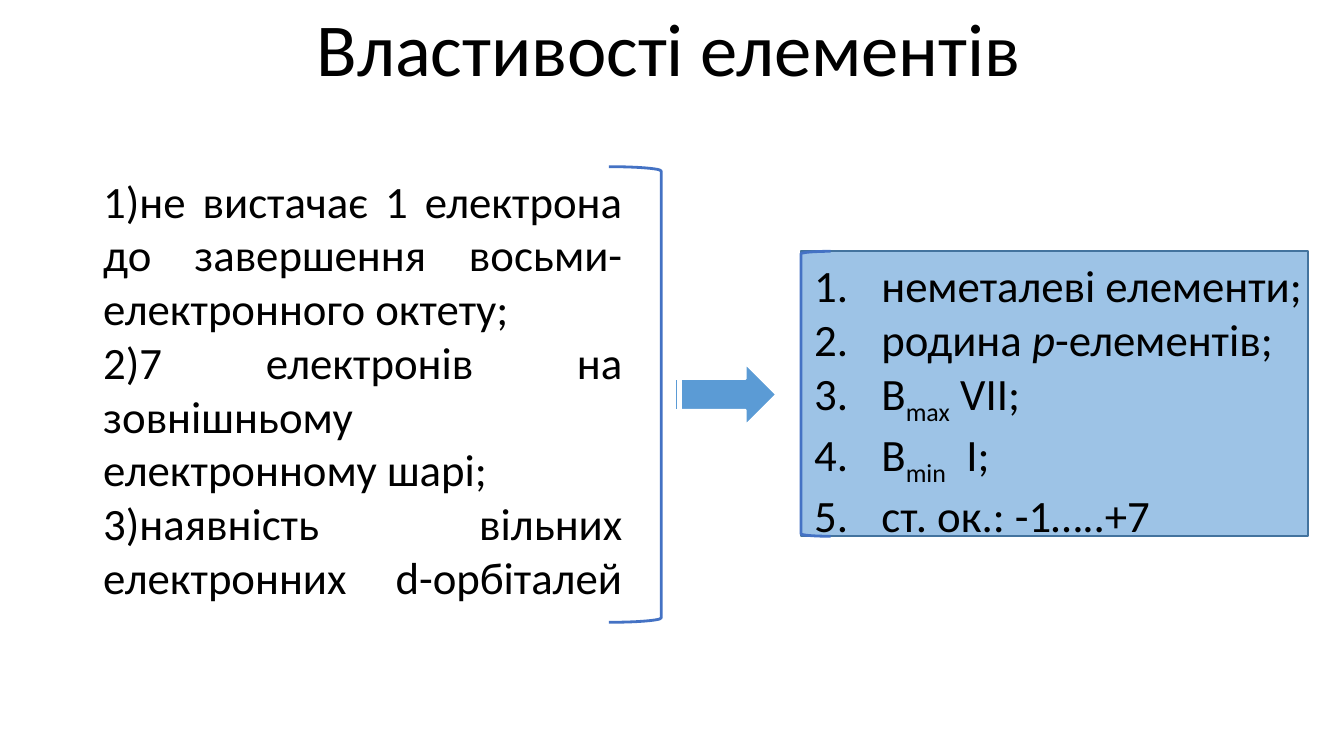
import pptx
import pptx.dml.color
import pptx.enum.shapes
import pptx.enum.text
import pptx.util
from dataclasses import dataclass
from lxml import etree
from pptx.oxml.ns import qn
from pptx.util import Inches

SHAPES = pptx.enum.shapes.MSO_SHAPE
ALIGN = pptx.enum.text.PP_ALIGN


@dataclass(frozen=True)
class Theme:
    font: str = "Calibri"
    title_size: int = 40
    body_size: int = 24
    ink: str = "000000"
    paper: str = "FFFFFF"
    bracket: str = "4472C4"
    arrow: str = "5B9BD5"
    panel: str = "9DC3E6"
    panel_edge: str = "43739E"


def rgb(value):
    return pptx.dml.color.RGBColor.from_string(value)


class SlideBuilder:
    def __init__(self, page, theme):
        self.page = page
        self.theme = theme

    def shape(self, kind, at, line, fill=None, width=1.5):
        item = self.page.shapes.add_shape(kind, *map(Inches, at))
        item.shadow.inherit = False
        if fill:
            item.fill.solid()
            item.fill.fore_color.rgb = rgb(fill)
        else:
            item.fill.background()
        item.line.color.rgb = rgb(line)
        item.line.width = pptx.util.Pt(width)
        return item

    def text_box(self, at):
        box = self.page.shapes.add_textbox(*map(Inches, at))
        box.text_frame.word_wrap = True
        return box.text_frame

    def style(self, span, size):
        span.font.name = self.theme.font
        span.font.size = pptx.util.Pt(size)
        span.font.color.rgb = rgb(self.theme.ink)

    def title(self, text, at):
        frame = self.text_box(at)
        frame.vertical_anchor = pptx.enum.text.MSO_ANCHOR.MIDDLE
        frame.text = text
        para = frame.paragraphs[0]
        para.alignment = ALIGN.CENTER
        para.line_spacing = 0.9
        self.style(para.runs[0], self.theme.title_size)

    def numbered_list(self, items, at, scheme, margin, indent, align):
        """Each item is a list of (text, kind) spans; kind is "", "italic" or "sub"."""
        frame = self.text_box(at)
        frame.auto_size = pptx.enum.text.MSO_AUTO_SIZE.SHAPE_TO_FIT_TEXT
        for index, spans in enumerate(items):
            para = frame.add_paragraph() if index else frame.paragraphs[0]
            para.alignment = align
            props = para._p.get_or_add_pPr()
            props.set("marL", str(Inches(margin)))
            props.set("indent", str(Inches(indent)))
            etree.SubElement(props, qn("a:buFont"), typeface="+mj-lt")
            etree.SubElement(props, qn("a:buAutoNum"), type=scheme)
            para.text = spans[0][0]
            for text, _ in spans[1:]:
                para.add_run().text = text
            for span, (_, kind) in zip(para.runs, spans):
                self.style(span, self.theme.body_size)
                if kind == "italic":
                    span.font.italic = True
                elif kind == "sub":
                    span._r.get_or_add_rPr().set("baseline", "-25000")


def main():
    theme = Theme()
    deck = pptx.Presentation()
    # Widescreen page, 16:9
    deck.slide_width = Inches(10)
    deck.slide_height = deck.slide_width * 9 // 16
    page = deck.slides.add_slide(deck.slide_layouts[6])
    page.background.fill.solid()
    page.background.fill.fore_color.rgb = rgb(theme.paper)
    builder = SlideBuilder(page, theme)

    builder.title("Властивості елементів", (0.67, 0.02, 8.61, 0.74))

    # Causes; the closing line break keeps the last line justified
    causes = [
        "не вистачає 1 електрона до завершення восьми-електронного октету;",
        "7 електронів на зовнішньому електронному шарі;",
        "наявність вільних електронних d-орбіталей\v",
    ]
    builder.numbered_list([[(cause, "")] for cause in causes],
                          (0.67, 1.24, 4.06, 3.64), "arabicParenR",
                          0, -0.38, ALIGN.JUSTIFY)

    # Bracket and arrow leading to the properties
    builder.shape(SHAPES.RIGHT_BRACKET, (4.53, 1.24, 0.39, 3.39), theme.bracket)
    builder.shape(SHAPES.STRIPED_RIGHT_ARROW, (4.99, 2.7, 0.79, 0.47),
                  theme.paper, theme.arrow)

    # Properties panel
    left, top, height = 5.96, 1.87, 2.12
    properties = [
        [("неметалеві елементи;", "")],
        [("родина ", ""), ("р", "italic"), ("-елементів;", "")],
        [("В", ""), ("max", "sub"), (" VII;", "")],
        [("B", ""), ("min", "sub"), ("  I;", "")],
        [("ст. ок.: -1…..+7", "")],
    ]
    builder.shape(SHAPES.RECTANGLE, (left, top, 3.77, height),
                  theme.panel_edge, theme.panel, 1)
    builder.numbered_list(properties, (left, top, 3.9, height),
                          "arabicPeriod", 0.5, -0.5, ALIGN.LEFT)
    builder.shape(SHAPES.LEFT_BRACKET, (left, top, 0.22, height), theme.bracket)

    deck.save("out.pptx")


if __name__ == "__main__":
    main()
